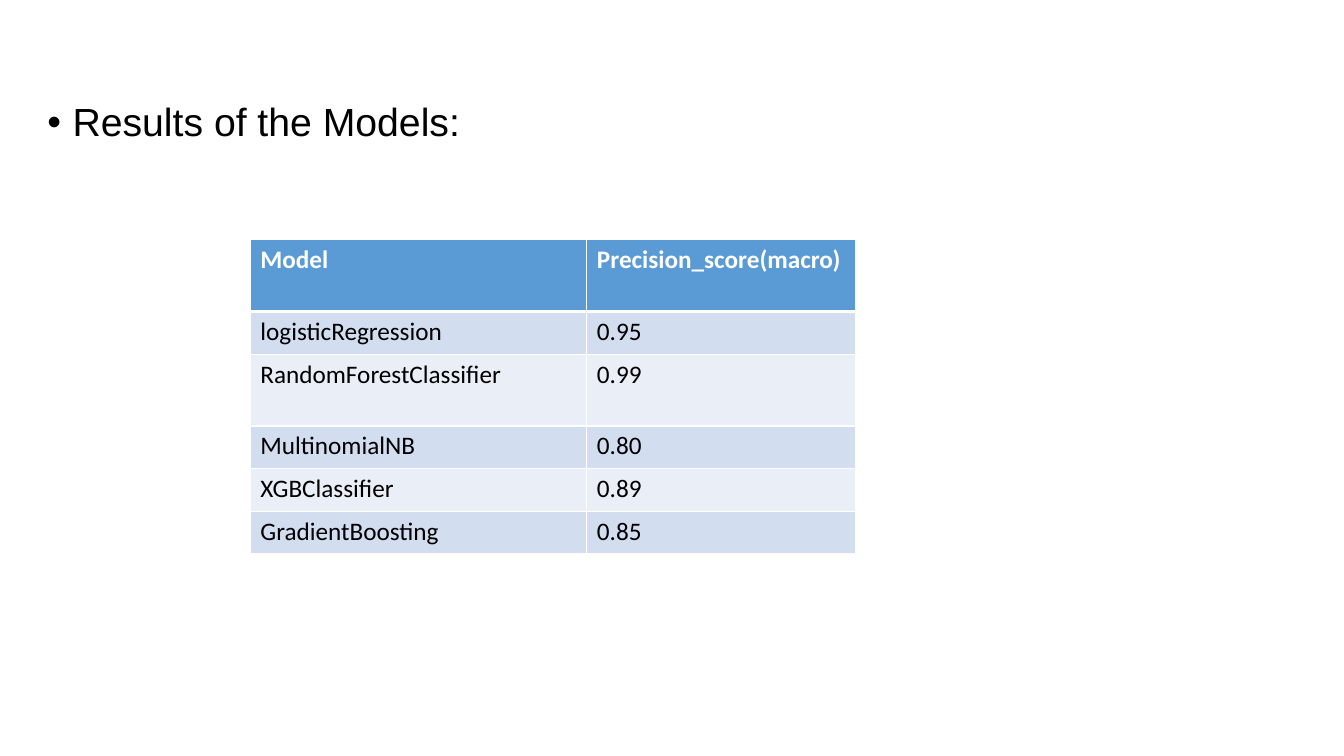
from lxml import etree
from pptx import Presentation
from pptx.dml.color import RGBColor
from pptx.enum.text import MSO_ANCHOR, MSO_AUTO_SIZE
from pptx.oxml.ns import qn
from pptx.util import Pt

TOP = MSO_ANCHOR.TOP
NO_AUTOFIT = MSO_AUTO_SIZE.NONE
BLACK = RGBColor(0x00, 0x00, 0x00)
WHITE = RGBColor(0xFF, 0xFF, 0xFF)
HEADER_BLUE = RGBColor(0x5B, 0x9B, 0xD5)
BANDS = (RGBColor(0xD2, 0xDE, 0xEF), RGBColor(0xEA, 0xEF, 0xF7))

SCORES = (
    ("Model", "Precision_score(macro)"),
    ("logisticRegression", "0.95"),
    ("RandomForestClassifier", "0.99"),
    ("MultinomialNB", "0.80"),
    ("XGBClassifier", "0.89"),
    ("GradientBoosting", "0.85"),
)
COLUMN_WIDTHS = (240.4, 192.2)
TALL_ROWS = (0, 2)
TALL, NORMAL = 51.3, 30.5


def set_attributes(target, values):
    for attribute, value in values.items():
        setattr(target, attribute, value)


def format_font(font, name, size, color, bold=False):
    set_attributes(font, {"name": name, "size": Pt(size), "bold": bold})
    font.color.rgb = color


def fill_heading(body, text):
    set_attributes(body, {"left": Pt(26.64), "top": Pt(24),
                          "width": Pt(901.44), "height": Pt(494.64)})
    frame = body.text_frame
    set_attributes(frame, {"word_wrap": True, "auto_size": NO_AUTOFIT,
                           "vertical_anchor": TOP, "margin_top": Pt(49.6)})
    heading = frame.paragraphs[0]
    set_attributes(heading, {"line_spacing": 0.9, "space_before": Pt(0)})
    run = heading.add_run()
    run.text = text
    format_font(run.font, "Arial", 28, BLACK)
    properties = heading._p.get_or_add_pPr()
    properties.set("marL", str(Pt(18)))
    properties.set("indent", str(Pt(-18)))
    etree.SubElement(properties, qn("a:buFont"), typeface="Arial")
    etree.SubElement(properties, qn("a:buChar"), char="•")


def add_borders(cell, bottom_width, top_width):
    properties = cell._tc.get_or_add_tcPr()
    widths = {"a:lnL": 1, "a:lnR": 1, "a:lnT": top_width, "a:lnB": bottom_width}
    for position, (side, width) in enumerate(widths.items()):
        border = etree.Element(qn(side), w=str(Pt(width)))
        fill = etree.SubElement(border, qn("a:solidFill"))
        etree.SubElement(fill, qn("a:srgbClr"), val=str(WHITE))
        properties.insert(position, border)


def fill_cell(cell, text, row):
    is_header = row == 0
    cell.fill.solid()
    cell.fill.fore_color.rgb = HEADER_BLUE if is_header else BANDS[(row - 1) % 2]
    run = cell.text_frame.paragraphs[0].add_run()
    run.text = text
    format_font(run.font, "Calibri", 18, WHITE if is_header else BLACK, is_header)
    add_borders(cell, 3 if is_header else 1, 3 if row == 1 else 1)


def add_score_table(slide):
    heights = [TALL if row in TALL_ROWS else NORMAL for row in range(len(SCORES))]
    scores = slide.shapes.add_table(
        len(SCORES), len(COLUMN_WIDTHS), Pt(178.8), Pt(171.2),
        Pt(sum(COLUMN_WIDTHS)), Pt(sum(heights))).table
    for column, width in zip(scores.columns, COLUMN_WIDTHS):
        column.width = Pt(width)
    for row, (height, texts) in enumerate(zip(heights, SCORES)):
        scores.rows[row].height = Pt(height)
        for column, text in enumerate(texts):
            fill_cell(scores.cell(row, column), text, row)


def main():
    presentation = Presentation()
    set_attributes(presentation, {"slide_width": Pt(960), "slide_height": Pt(540)})
    slide = presentation.slides.add_slide(presentation.slide_layouts[1])
    title = slide.shapes.title
    title.element.getparent().remove(title.element)
    fill_heading(slide.placeholders[1], "Results of the Models:")
    add_score_table(slide)
    presentation.save("out.pptx")


if __name__ == "__main__":
    main()
